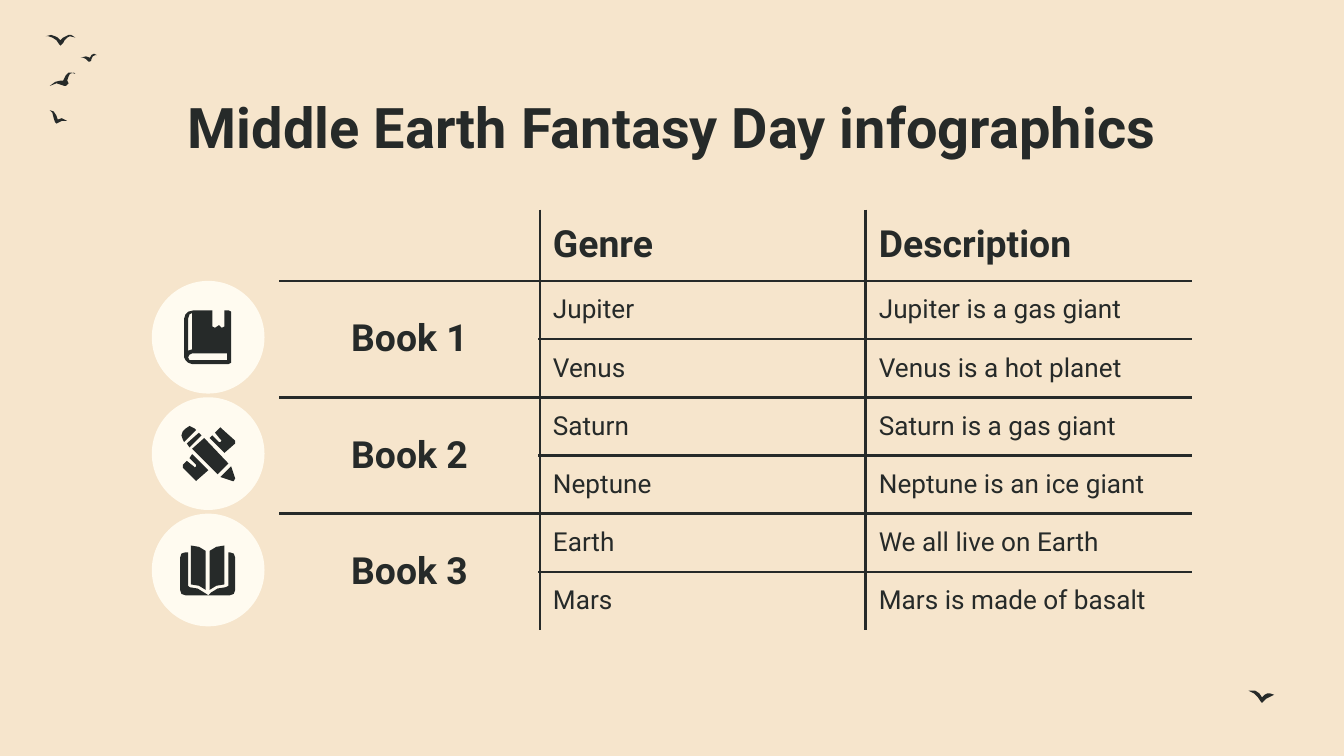
from dataclasses import dataclass

import pptx
import pptx.dml.color
import pptx.enum.shapes
import pptx.enum.text
import pptx.oxml
import pptx.oxml.ns
import pptx.util
from pptx.util import Cm

FONT = "Roboto"
DARK, CREAM, SAND = "262A29", "FFFBF0", "F6E5CC"
OUTLINE_UNIT = Cm(0.0254)  # outline points are hundredths of an inch
PADDING = Cm(0.25)
Contour = list[tuple[float, float]]


@dataclass
class Outline:
    contours: list[Contour]


@dataclass
class Book:
    label: str
    entries: list[tuple[str, str]]


BOOKS = [
    Book("Book 1", [("Jupiter", "Jupiter is a gas giant"), ("Venus", "Venus is a hot planet")]),
    Book("Book 2", [("Saturn", "Saturn is a gas giant"), ("Neptune", "Neptune is an ice giant")]),
    Book("Book 3", [("Earth", "We all live on Earth"), ("Mars", "Mars is made of basalt")]),
]

BIRDS = [
    # gliding bird
    Outline([[
        (51, 26), (49, 26.6), (47, 27.7), (45, 29.6), (43, 27.6), (41, 26.6), (38, 26.2), (34, 27.2),
        (36, 27.1), (39, 27.6), (42, 29.6), (44, 32.6), (45, 33.7), (46, 33.4), (47, 32.5),
        (48, 30), (50, 28), (52, 27.3), (56, 28), (53, 26.4)]]),
    # rising bird
    Outline([[
        (53, 54), (51, 54.5), (49, 56), (48, 57.5), (47, 59.8), (45, 60), (41, 61), (37, 63.5),
        (42, 62.3), (45, 62.7), (48, 64), (49, 64.4), (51, 62.5), (50.5, 60), (51, 57),
        (52.5, 55), (55, 54.3), (55.5, 54.6)]]),
    # turning bird
    Outline([[
        (37, 82), (39, 84.5), (40.5, 87.5), (41, 91), (42, 91.7), (46, 90.3), (48, 90),
        (50, 90), (48, 88.6), (46, 88), (43, 88.7), (42, 85.5), (40, 83)]]),
    # small bird
    Outline([[
        (70, 40.4), (68.5, 41), (67, 42.7), (64, 42), (60, 43), (62, 43), (64.5, 43.8),
        (66, 45.7), (67, 46.2), (68, 45.2), (68.3, 43.5), (69, 42), (71, 41), (72.5, 41)]]),
    # corner bird
    Outline([[
        (931, 514), (929, 514.5), (933, 516), (936, 518.6), (938, 522), (939, 523), (940, 522.3),
        (942, 520), (944, 518.6), (948, 516.7), (945, 516), (943, 516.5), (941, 517.3),
        (939, 519), (937, 516.5), (934, 514.5)]]),
]

PENCIL_AND_RULER = [
    # ferrule
    Outline([[(148, 322), (139, 330), (141, 333), (150, 324)]]),
    # upper half of the ruler
    Outline([[
        (164, 318), (163, 319), (160, 322), (164, 327), (164.6, 328), (164, 329), (163, 329),
        (158, 324), (156, 326), (167, 337), (175, 330), (175, 328), (165, 319)]]),
    # pencil body
    Outline([[(152, 326), (143, 334), (162, 353), (170, 345)]]),
    # pencil tip
    Outline([[(172, 347), (164, 355), (173, 358), (174, 358), (175, 356)]]),
    # lower half of the ruler
    Outline([[
        (143, 338), (141, 341), (146, 346), (146, 347), (145, 348), (144, 347), (139, 343),
        (136, 346), (135.5, 347), (136, 348), (145, 357), (146, 358), (147, 357), (155, 350)]]),
    # eraser
    Outline([[
        (141, 317), (138, 319), (136, 321), (134.8, 324), (136, 327), (137, 329),
        (146, 320), (145, 319), (143, 317.6)]]),
]

CLOSED_BOOK = [
    Outline([
        [(143, 233), (143, 260), (140, 261), (140, 237), (141, 234.5)],
        [(169, 263), (169, 268), (143, 268), (141, 267.5), (140, 266), (141, 263.7), (143, 263)],
        [(144, 230.7), (140, 232), (138, 234), (137.3, 237), (137.3, 266), (138, 268.5), (140, 270.3),
         (143, 271), (170, 271), (171.7, 270), (171.7, 232), (170, 230.7), (167, 230.7),
         (167, 243), (165, 244), (163, 242), (160, 244), (158, 243), (158, 230.7)],
    ]),
]

OPEN_BOOK = [
    # right cover
    Outline([[
        (170, 411), (170, 436), (168, 437), (162, 438), (157, 441), (155, 443), (171, 443),
        (174, 442), (175, 439), (175, 415), (174, 412), (171, 411)]]),
    # left page
    Outline([[(142, 406), (142, 435), (148, 436), (153, 439), (153, 410), (148, 407)]]),
    # right page
    Outline([[(167, 406), (161, 407), (156, 410), (156, 439), (161, 436), (167, 435)]]),
    # left cover
    Outline([[
        (138, 411), (135, 412), (134, 415), (134, 439), (135, 442), (138, 443), (155, 443),
        (152, 441), (147, 438), (141, 437), (140, 436), (140, 411)]]),
]


def color(value: str) -> pptx.dml.color.RGBColor:
    return pptx.dml.color.RGBColor.from_string(value)


def paint(shape, value: str) -> None:
    """Give a shape a flat fill without line or shadow."""
    shape.fill.solid()
    shape.fill.fore_color.rgb = color(value)
    shape.line.fill.background()
    shape.shadow.inherit = False


def draw_outline(slide, outline: Outline) -> None:
    first, *others = outline.contours
    builder = slide.shapes.build_freeform(*first[0], scale=OUTLINE_UNIT)
    builder.add_line_segments(first[1:], close=True)
    for contour in others:
        builder.move_to(*contour[0])
        builder.add_line_segments(contour[1:], close=True)
    paint(builder.convert_to_shape(), DARK)


def write(text_frame, text: str, size: float, bold: bool, centered: bool) -> None:
    text_frame.text = text
    paragraph = text_frame.paragraphs[0]
    alignment = pptx.enum.text.PP_ALIGN
    paragraph.alignment = alignment.CENTER if centered else alignment.LEFT
    for run in paragraph.runs:
        run.font.name = FONT
        run.font.size = pptx.util.Pt(size)
        run.font.bold = bold
        run.font.color.rgb = color(DARK)


def set_borders(cell, left: bool, right: bool, top: bool, bottom: bool) -> None:
    properties = cell._tc.get_or_add_tcPr()
    for side, visible in zip("LRTB", (left, right, top, bottom)):
        fill = f'<a:solidFill><a:srgbClr val="{DARK}"/></a:solidFill>' if visible else "<a:noFill/>"
        properties.append(pptx.oxml.parse_xml(
            f'<a:ln{side} {pptx.oxml.ns.nsdecls("a")} w="{pptx.util.Pt(1.5)}">{fill}</a:ln{side}>'))


def add_title(slide) -> None:
    title = slide.shapes.title
    title.left, title.top, title.width, title.height = Cm(2), Cm(1.5), Cm(21.4), Cm(1.6)
    frame = title.text_frame
    frame.word_wrap = True
    frame.auto_size = pptx.enum.text.MSO_AUTO_SIZE.NONE
    frame.vertical_anchor = pptx.enum.text.MSO_ANCHOR.TOP
    frame.margin_left = frame.margin_right = frame.margin_top = frame.margin_bottom = PADDING
    write(frame, "Middle Earth Fantasy Day infographics", 30, True, True)


def add_book_table(slide) -> None:
    rows = [("", "Genre", "Description")]
    for book in BOOKS:
        for index, entry in enumerate(book.entries):
            rows.append((book.label if index == 0 else "", *entry))
    widths = [Cm(4.92), Cm(6.16), Cm(6.16)]
    heights = [Cm(1.35)] + [Cm(1.1)] * (len(rows) - 1)
    table = slide.shapes.add_table(
        len(rows), len(widths), Cm(5.28), Cm(3.96), sum(widths), sum(heights)).table
    table.first_row = table.horz_banding = False
    for column, width in zip(table.columns, widths):
        column.width = width
    for row, height in zip(table.rows, heights):
        row.height = height
    start = 1
    for book in BOOKS:
        end = start + len(book.entries) - 1
        table.cell(start, 0).merge(table.cell(end, 0))
        start = end + 1
    last_row, last_column = len(rows) - 1, len(widths) - 1
    for r, texts in enumerate(rows):
        for c, text in enumerate(texts):
            cell = table.cell(r, c)
            bottom_row = r + cell.span_height - 1 if cell.is_merge_origin else r
            set_borders(cell, c > 0, c < last_column, r > 0, bottom_row < last_row)
            cell.fill.background()
            cell.vertical_anchor = pptx.enum.text.MSO_ANCHOR.MIDDLE
            margin = 0 if cell.is_spanned else PADDING
            cell.margin_left = cell.margin_right = cell.margin_top = cell.margin_bottom = margin
            heading = r == 0 or c == 0
            if text:
                write(cell.text_frame, text, 20 if heading else 14, heading, c == 0)


def add_icons(slide) -> None:
    diameter, step = Cm(2.13), Cm(2.2)
    for index, icon in enumerate([CLOSED_BOOK, PENCIL_AND_RULER, OPEN_BOOK]):
        circle = slide.shapes.add_shape(
            pptx.enum.shapes.MSO_SHAPE.OVAL, Cm(2.87), Cm(5.31) + index * step, diameter, diameter)
        paint(circle, CREAM)
        for outline in icon:
            draw_outline(slide, outline)


def main() -> None:
    presentation = pptx.Presentation()
    presentation.slide_width, presentation.slide_height = Cm(25.4), Cm(14.29)
    slide = presentation.slides.add_slide(presentation.slide_layouts[5])
    slide.background.fill.solid()
    slide.background.fill.fore_color.rgb = color(SAND)
    for bird in BIRDS:
        draw_outline(slide, bird)
    add_title(slide)
    add_book_table(slide)
    add_icons(slide)
    presentation.save("out.pptx")


if __name__ == "__main__":
    main()
